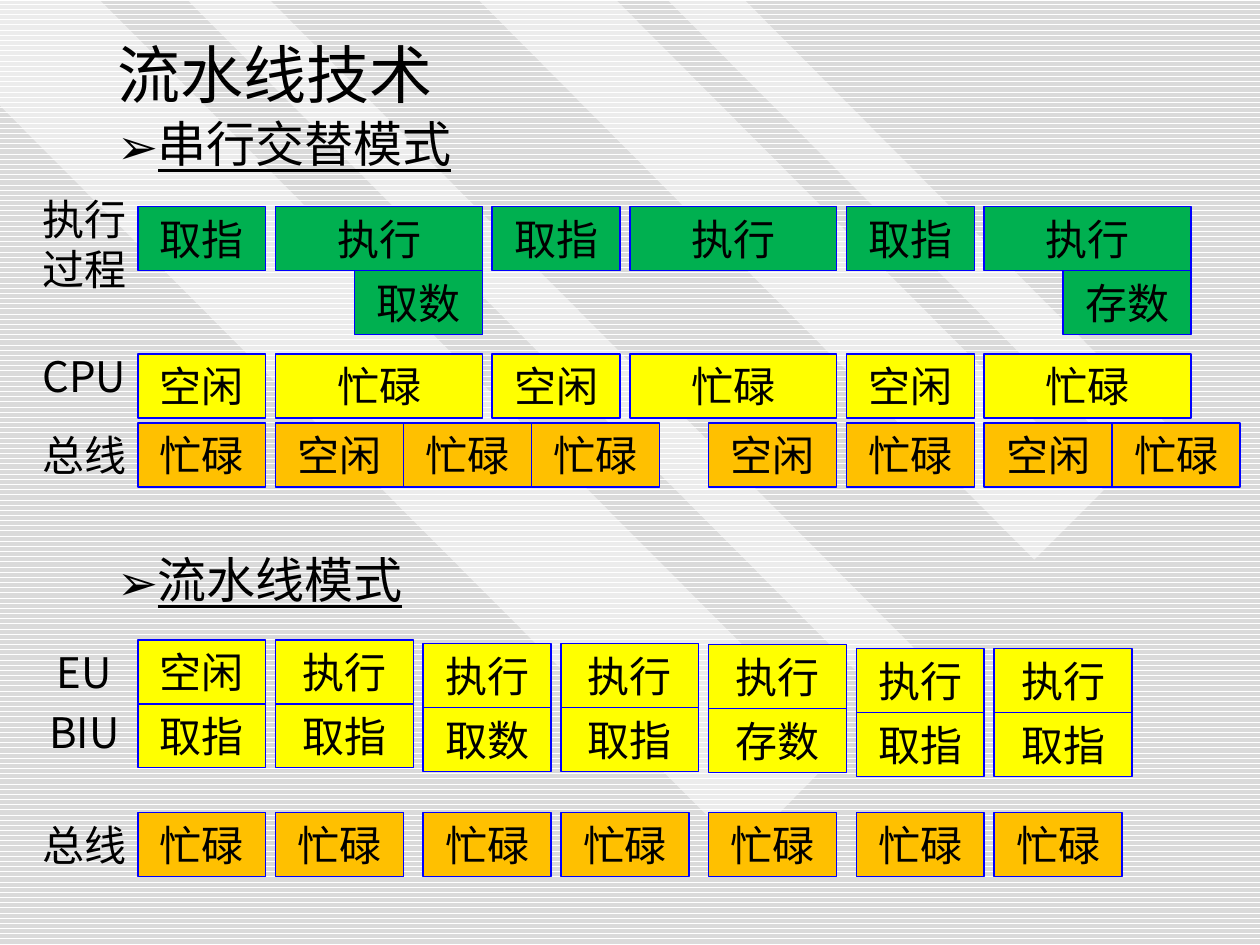
from lxml.etree import SubElement
from pptx import Presentation
from pptx.dml.color import RGBColor
from pptx.enum.dml import MSO_PATTERN
from pptx.enum.shapes import MSO_SHAPE
from pptx.enum.text import MSO_ANCHOR, MSO_AUTO_SIZE, PP_ALIGN
from pptx.oxml.ns import qn
from pptx.util import Cm, Pt

BLACK = RGBColor(0x00, 0x00, 0x00)
WHITE = RGBColor(0xFF, 0xFF, 0xFF)
GRAY = RGBColor(0xDA, 0xDA, 0xDA)
GREEN = RGBColor(0x00, 0xB0, 0x50)
YELLOW = RGBColor(0xFF, 0xFF, 0x00)
ORANGE = RGBColor(0xFF, 0xC0, 0x00)
BLUE = RGBColor(0x00, 0x00, 0xFF)

FONT = "Noto Sans CJK SC"
BLOCK_W, LONG_W, BLOCK_H = 2.58, 4.17, 1.29
BLOCKS_X = 2.37
STEP = 2.78
BANDS = [
    [(17.02, 15.06), (2.01, 0), (0, 0), (0, 2.13), (14.96, 17.15)],
    [(5.44, 0), (18.75, 13.39), (17.93, 14.2), (3.78, 0)],
    [(12.42, 0), (22.25, 9.88), (20.85, 11.28), (9.65, 0)],
    [(13.46, 0), (22.78, 9.35), (23.55, 8.58), (15.01, 0)],
]


def set_text(sp, text, size, align=PP_ALIGN.CENTER, underline=None):
    tf = sp.text_frame
    tf.word_wrap = True
    tf.auto_size = MSO_AUTO_SIZE.NONE
    tf.vertical_anchor = MSO_ANCHOR.MIDDLE
    tf.margin_left = tf.margin_right = Cm(0.25)
    tf.margin_top = tf.margin_bottom = 0
    p = tf.paragraphs[0]
    p.alignment = align
    r = p.add_run()
    r.text = text
    r.font.size = Pt(size)
    r.font.name = FONT
    r.font.underline = underline
    r.font.color.rgb = BLACK
    SubElement(r.font._element, qn("a:ea"), typeface=FONT)
    return p


def add_heading(shapes, x, y, text):
    sp = shapes.add_textbox(Cm(x), Cm(y), Cm(8.03), Cm(1.42))
    p = set_text(sp, text, 28, PP_ALIGN.LEFT, True)
    pPr = p._p.get_or_add_pPr()
    pPr.set("marL", str(Cm(0.81)))
    pPr.set("indent", str(-Cm(0.81)))
    SubElement(pPr, qn("a:buFont"), typeface=FONT)
    SubElement(pPr, qn("a:buChar"), char="➢")


def add_label(shapes, x, y, text, h=BLOCK_H):
    sp = shapes.add_textbox(Cm(x), Cm(y), Cm(BLOCK_W), Cm(h))
    set_text(sp, text, 24)


def add_block(shapes, x, y, text, color, w=BLOCK_W):
    sp = shapes.add_shape(MSO_SHAPE.RECTANGLE, Cm(x), Cm(y), Cm(w), Cm(BLOCK_H))
    sp.shadow.inherit = False
    sp.fill.solid()
    sp.fill.fore_color.rgb = color
    sp.line.color.rgb = BLUE
    sp.line.width = Pt(0.75)
    set_text(sp, text, 24)


def add_background(slide):
    fill = slide.background.fill
    fill.patterned()
    fill.pattern = MSO_PATTERN.DARK_HORIZONTAL
    fill.fore_color.rgb = GRAY
    fill.back_color.rgb = WHITE
    group = slide.shapes.add_group_shape()
    for band in BANDS:
        points = [(Cm(x), Cm(y)) for x, y in band]
        builder = group.shapes.build_freeform(*points[0])
        builder.add_line_segments(points[1:])
        sp = builder.convert_to_shape()
        sp.shadow.inherit = False
        sp.fill.solid()
        sp.fill.fore_color.rgb = WHITE
        color = sp._element.spPr.find(qn("a:solidFill"))[0]
        SubElement(color, qn("a:alpha"), val="50000")
        sp.line.fill.background()
    slide.shapes._spTree.insert(2, group._element)


def add_title(slide, left, top, width, height):
    sp = slide.shapes.title
    sp.left, sp.top, sp.width, sp.height = Cm(left), Cm(top), Cm(width), Cm(height)
    set_text(sp, "流水线技术", 36, PP_ALIGN.LEFT)


def add_serial_mode(slide, left, top):
    shapes = slide.shapes.add_group_shape().shapes
    add_heading(shapes, left + 1.7, top, "串行交替模式")
    exec_y, data_y, cpu_y, bus_y = (top + dy for dy in (1.99, 3.28, 4.96, 6.35))
    add_label(shapes, left, top + 1.58, "执行过程", 2.31)
    add_label(shapes, left, cpu_y - 0.21, "CPU")
    add_label(shapes, left, bus_y, "总线")

    x0 = left + BLOCKS_X
    for i, data in enumerate(["取数", None, "存数"]):
        x = x0 + 7.14 * i
        add_block(shapes, x, exec_y, "取指", GREEN)
        add_block(shapes, x + STEP, exec_y, "执行", GREEN, LONG_W)
        add_block(shapes, x, cpu_y, "空闲", YELLOW)
        add_block(shapes, x + STEP, cpu_y, "忙碌", YELLOW, LONG_W)
        if data:
            add_block(shapes, x + STEP + LONG_W - BLOCK_W, data_y, data, GREEN)

    bus = [(0, "忙碌"), (2.78, "空闲"), (5.36, "忙碌"), (7.94, "忙碌"),
           (11.5, "空闲"), (14.28, "忙碌"), (17.06, "空闲"), (19.64, "忙碌")]
    for dx, text in bus:
        add_block(shapes, x0 + dx, bus_y, text, ORANGE)


def add_pipeline_mode(slide, left, top):
    shapes = slide.shapes.add_group_shape().shapes
    add_heading(shapes, left + 1.7, top, "流水线模式")
    eu_y, bus_y = top + 1.93, top + 5.41
    add_label(shapes, left, eu_y, "EU")
    add_label(shapes, left, eu_y + 1.2, "BIU")
    add_label(shapes, left, bus_y, "总线")

    stages = [(0, 0, BLOCK_W, "空闲", "取指"), (2.78, 0, STEP, "执行", "取指"),
              (5.75, 0.08, BLOCK_W, "执行", "取数"), (8.53, 0.08, STEP, "执行", "取指"),
              (11.5, 0.1, STEP, "执行", "存数"), (14.48, 0.18, BLOCK_W, "执行", "取指"),
              (17.26, 0.18, STEP, "执行", "取指")]
    for dx, dy, w, eu, biu in stages:
        x = left + BLOCKS_X + dx
        add_block(shapes, x, eu_y + dy, eu, YELLOW, w)
        add_block(shapes, x, eu_y + dy + BLOCK_H, biu, YELLOW, w)
        add_block(shapes, x, bus_y, "忙碌", ORANGE)


def main():
    prs = Presentation()
    prs.slide_width, prs.slide_height = Cm(25.4), Cm(19.05)
    slide = prs.slides.add_slide(prs.slide_layouts[5])
    add_background(slide)
    add_title(slide, 2.11, 0.58, 14.17, 1.78)
    add_serial_mode(slide, 0.41, 2.18)
    add_pipeline_mode(slide, 0.41, 10.97)
    prs.save("out.pptx")


if __name__ == "__main__":
    main()
